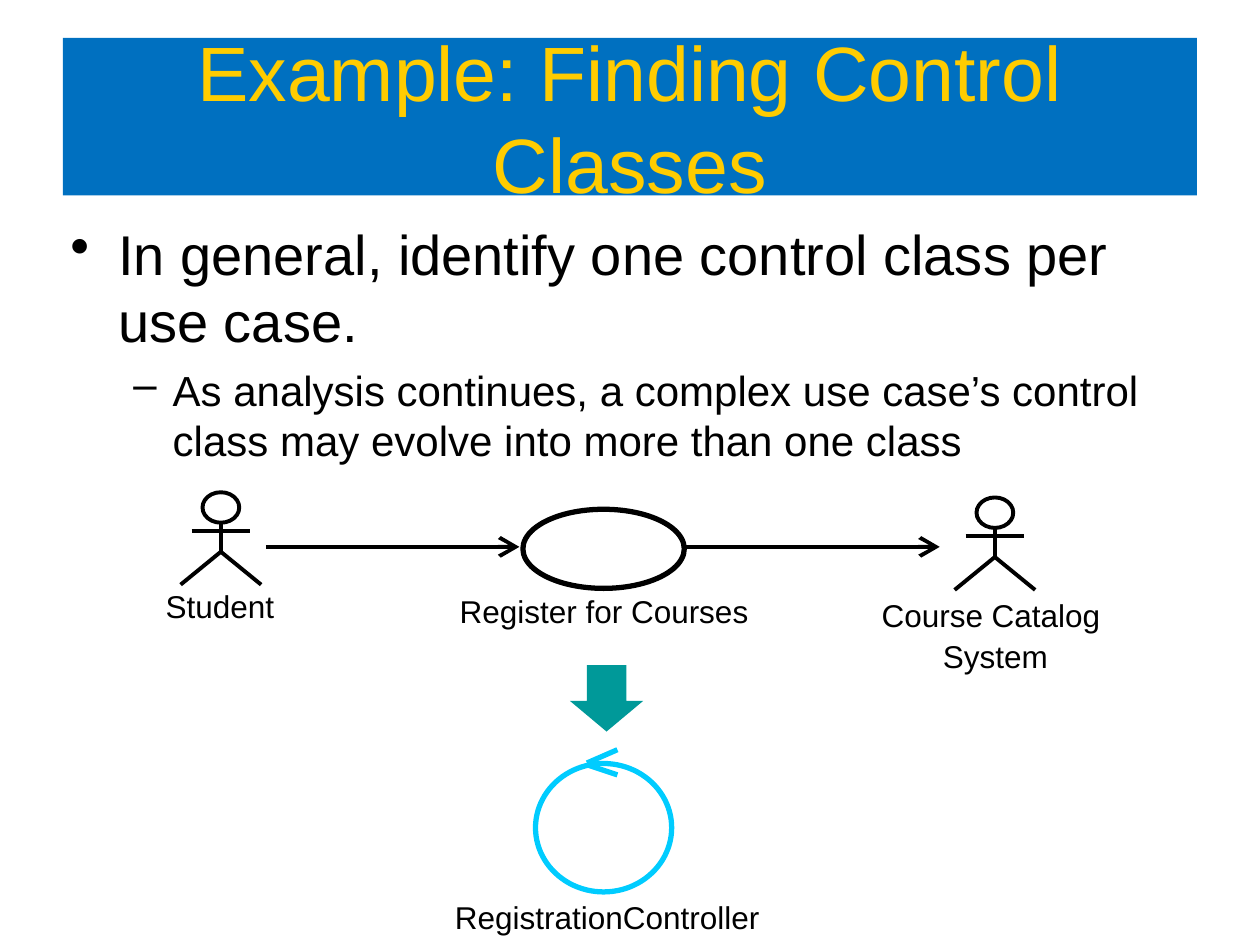
import pptx
import pptx.util
import pptx.dml.color
import pptx.enum.shapes
import pptx.enum.text
import pptx.oxml.ns
import lxml.etree

Pt = pptx.util.Pt
qn = pptx.oxml.ns.qn
KIND = pptx.enum.shapes.MSO_SHAPE
ALIGN = pptx.enum.text.PP_ALIGN
ANCHOR = pptx.enum.text.MSO_ANCHOR

THEME = {
    "font": "Arial",
    "ink": "000000", "band": "0070C0", "title": "FFCC00",
    "arrow": "009999", "control": "00CCFF",
    "title_size": 44, "label_size": 18,
    "thin": 2.25, "thick": 3,
}

TITLE = "Example: Finding Control Classes"
# text, size, left margin, hanging indent, space before, bullet
POINTS = [
    ("In general, identify one control class per use case.", 32, 27.3, 27.3, 0, "•"),
    ("As analysis continues, a complex use case’s control "
     "class may evolve into more than one class", 24, 58.5, 22.5, 6, "–"),
]
# centre and top of each stick figure
ACTORS = [(126.2, 281.3), (568.5, 284.3)]
# lines of text, (left, top, width, height)
LABELS = [
    (["Student"], (63, 332, 125.3, 29)),
    (["Register for Courses"], (227.5, 335, 235.4, 29)),
    (["Course Catalog ", "System"], (465.8, 337, 206, 51)),
    (["RegistrationController"], (237, 509.7, 220, 29)),
]
OVALS = [
    ((298.8, 291, 92.2, 45.2), "ink"),
    ((306, 436.3, 77.8, 73.4), "control"),
]
FLOWS = [(152, 296.8), (391.5, 537)]
FLOW_Y = 312.5
TIP = [((352.8, 428.4), (335.4, 436)), ((352.8, 442.8), (335.4, 437))]

deck = pptx.Presentation()
deck.slide_width, deck.slide_height = Pt(720), Pt(540)
slide = deck.slides.add_slide(deck.slide_layouts[6])
shapes = slide.shapes


def color(name):
    return pptx.dml.color.RGBColor.from_string(THEME[name])


def style(para, size, ink="ink"):
    for run in para.runs:
        run.font.name = THEME["font"]
        run.font.size = Pt(size)
        run.font.color.rgb = color(ink)


def paint(shape, fill=None, line=None, width=0):
    shape.shadow.inherit = False
    if fill:
        shape.fill.solid()
        shape.fill.fore_color.rgb = color(fill)
    else:
        shape.fill.background()
    if line:
        shape.line.color.rgb = color(line)
        shape.line.width = Pt(width)
    else:
        shape.line.fill.background()


def add(kind, box, **look):
    shape = shapes.add_shape(kind, *map(Pt, box))
    paint(shape, **look)
    return shape


def link(start, end, ink="ink", width=THEME["thin"], arrow=False):
    line = shapes.add_connector(
        pptx.enum.shapes.MSO_CONNECTOR.STRAIGHT, *map(Pt, start + end))
    line.line.color.rgb = color(ink)
    line.line.width = Pt(width)
    if arrow:
        lxml.etree.SubElement(line.line._get_or_add_ln(), qn("a:tailEnd"),
                              type="arrow", w="lg", len="lg")
    lxml.etree.SubElement(line._element.spPr, qn("a:effectLst"))


def actor(mid, top):
    """Draw a stick figure from its centre line and the top of its head."""
    neck, arms, hips, feet = top + 17.4, top + 22, top + 34, top + 52.8
    add(KIND.OVAL, (mid - 10.5, top, 21, 17.4), line="ink", width=THEME["thin"])
    link((mid, neck), (mid, hips))
    link((mid - 16.7, arms), (mid + 16.7, arms))
    pen = shapes.build_freeform(Pt(mid - 23), Pt(feet))
    pen.add_line_segments(
        [(Pt(mid), Pt(hips)), (Pt(mid + 23), Pt(feet))], close=False)
    paint(pen.convert_to_shape(), line="ink", width=THEME["thin"])


def label(lines, box):
    frame = shapes.add_textbox(*map(Pt, box)).text_frame
    frame.word_wrap = True
    frame.text = "\n".join(lines)
    for i, para in enumerate(frame.paragraphs):
        para.alignment = ALIGN.CENTER
        if i:
            para.space_before = Pt(11.2)
            para.line_spacing = 0.5
        style(para, THEME["label_size"])


def body(points, box):
    frame = shapes.add_textbox(*map(Pt, box)).text_frame
    frame.word_wrap = True
    frame.text = "\n".join(point[0] for point in points)
    for para, (_, size, left, hang, gap, mark) in zip(frame.paragraphs, points):
        props = para._p.get_or_add_pPr()
        props.set("marL", str(Pt(left)))
        props.set("indent", str(-Pt(hang)))
        lxml.etree.SubElement(props, qn("a:buChar"), char=mark)
        para.space_before = Pt(gap)
        style(para, size)


body(POINTS, (33.1, 121.7, 668.2, 396.7))

band = add(KIND.RECTANGLE, (36, 21.6, 648, 90), fill="band")
frame = band.text_frame
frame.word_wrap = True
frame.vertical_anchor = ANCHOR.MIDDLE
frame.text = TITLE
head = frame.paragraphs[0]
head.alignment = ALIGN.CENTER
style(head, THEME["title_size"], "title")

for mid, top in ACTORS:
    actor(mid, top)
for box, ink in OVALS:
    add(KIND.OVAL, box, line=ink, width=THEME["thick"])
for start, end in FLOWS:
    link((start, FLOW_Y), (end, FLOW_Y), arrow=True)
for start, end in TIP:
    link(start, end, "control", THEME["thick"])
down = add(KIND.DOWN_ARROW, (325.7, 380, 41.8, 38), fill="arrow")
down.adjustments[0], down.adjustments[1] = 0.54, 0.46
for lines, box in LABELS:
    label(lines, box)

deck.save("out.pptx")
